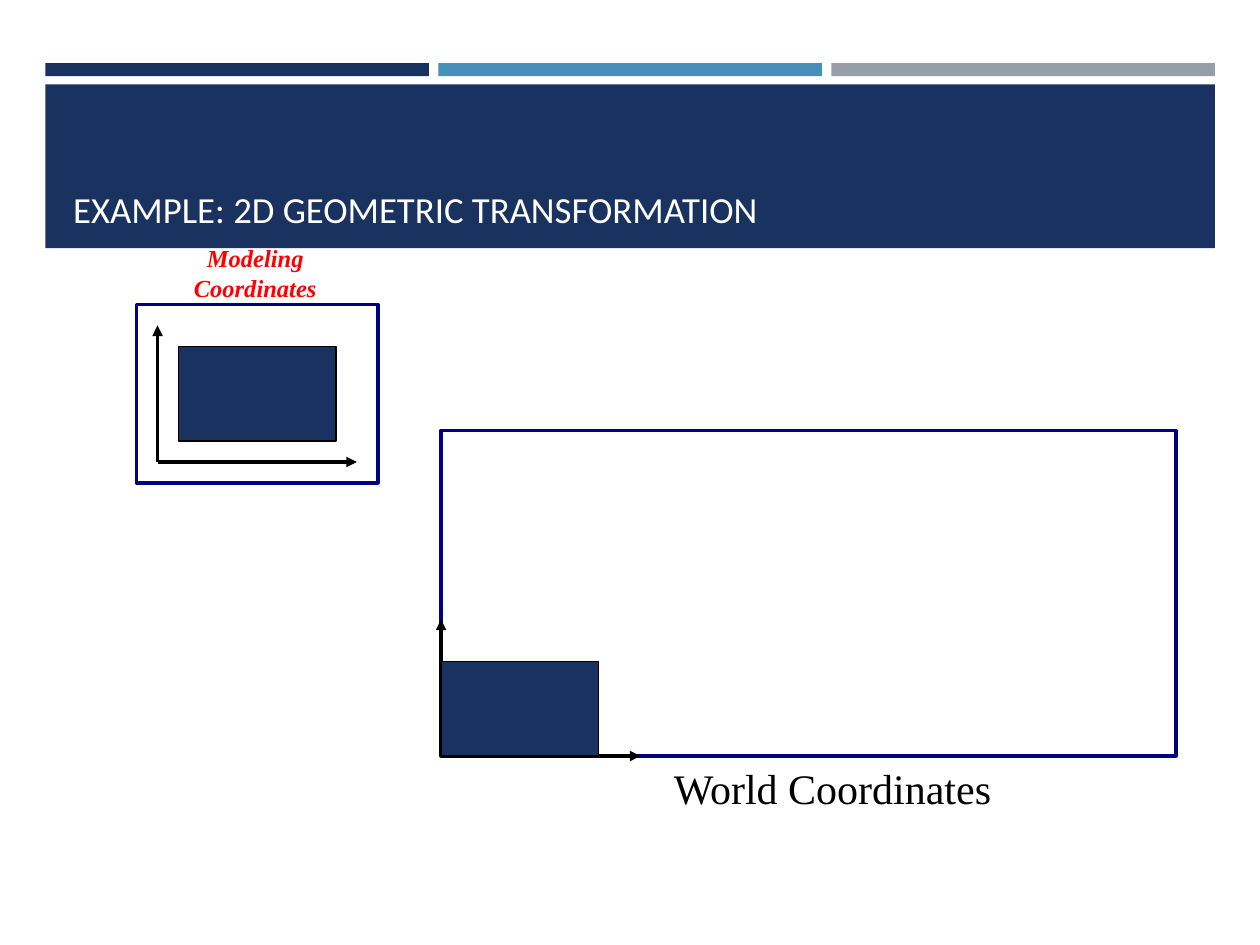
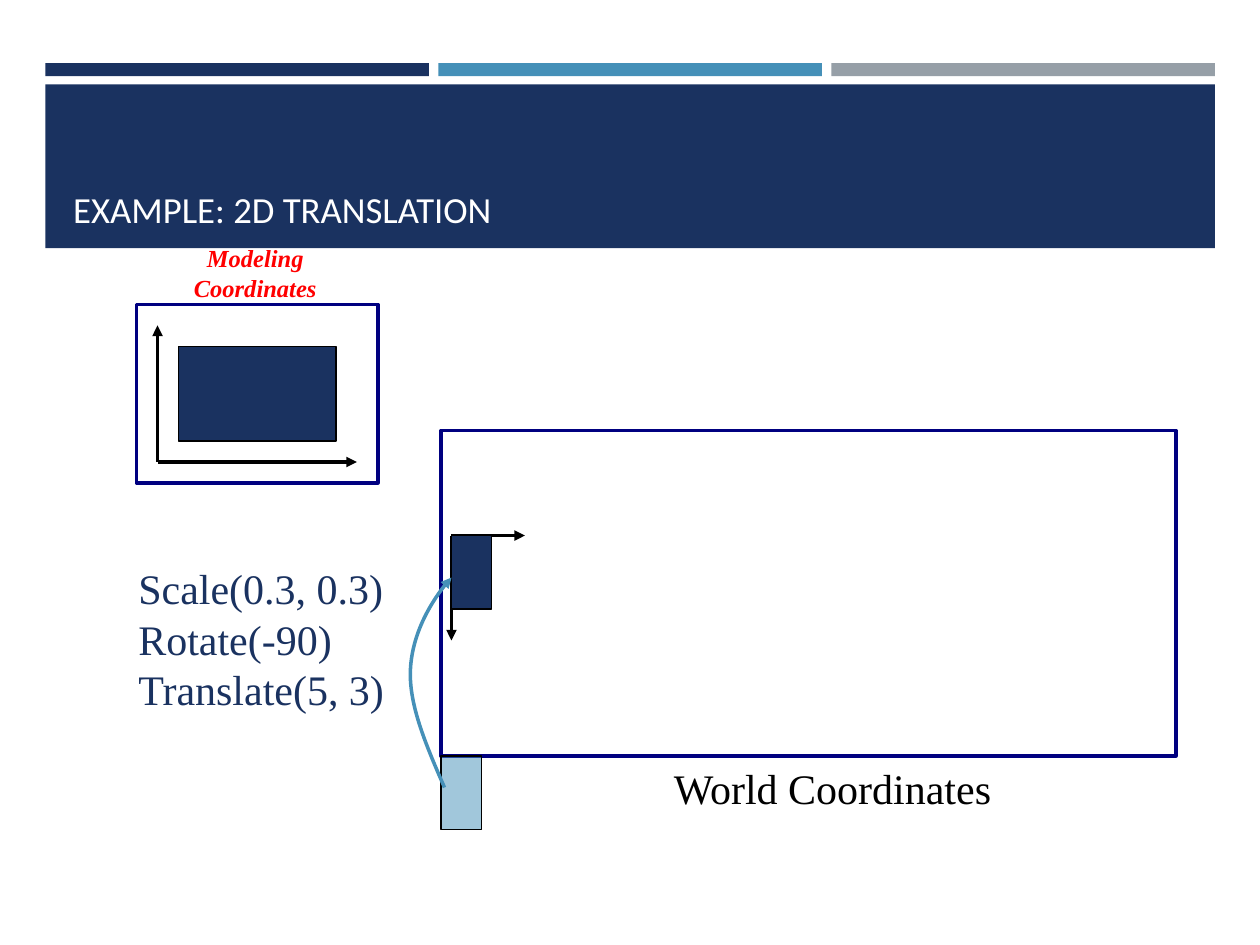
from pptx import Presentation
from pptx.dml.color import RGBColor
from pptx.enum.shapes import MSO_CONNECTOR as Conn, MSO_SHAPE as Shape
from pptx.enum.text import MSO_ANCHOR as Anchor, MSO_AUTO_SIZE as Fit, PP_ALIGN as Align
from pptx.oxml.ns import qn
from pptx.util import Pt
from lxml.etree import SubElement

NAVY = RGBColor(0x1A, 0x32, 0x60)
BLUE = RGBColor(0x45, 0x90, 0xB8)
GRAY = RGBColor(0x96, 0x9F, 0xA7)
FRAME = RGBColor(0x00, 0x00, 0x80)
RED = RGBColor(0xFF, 0x00, 0x00)
BLACK = RGBColor(0x00, 0x00, 0x00)
WHITE = RGBColor(0xFF, 0xFF, 0xFF)
SERIF = "Times New Roman"

# Boxes are left, top, width, height in points
HEAD = (26, 48.2, 668.2, 93.6)
MODEL = (78, 174, 138, 102)
WORLD = (252, 246, 420, 186)


def draw_rect(slide, box, fill=None, line=None, weight=0.75):
    rect = slide.shapes.add_shape(Shape.RECTANGLE, *map(Pt, box))
    rect.shadow.inherit = False
    if fill is None:
        rect.fill.background()
    else:
        rect.fill.solid()
        rect.fill.fore_color.rgb = fill
    if line is None:
        rect.line.fill.background()
    else:
        rect.line.color.rgb = line
        rect.line.width = Pt(weight)
    return rect


def set_stroke(shape, color):
    """Give a line its colour, width and arrowhead."""
    shape.line.color.rgb = color
    shape.line.width = Pt(2)
    ln = shape.element.spPr.find(qn("a:ln"))
    SubElement(ln, qn("a:tailEnd"), type="triangle")


def draw_axes(slide, x, y, right, down):
    """Two arrows from one origin; a negative down points up."""
    for dx, dy in ((right, 0), (0, down)):
        axis = slide.shapes.add_connector(
            Conn.STRAIGHT, Pt(x), Pt(y), Pt(x + dx), Pt(y + dy))
        set_stroke(axis, BLACK)
        SubElement(axis.element.spPr, qn("a:effectLst"))


def draw_turned(slide, x, y, fill):
    """A small block turned a quarter, its corner at x, y."""
    wide, high = 42, 23
    shift = (wide - high) / 2
    block = draw_rect(slide, (x - shift, y + shift, wide, high), fill, BLACK)
    block.rotation = 90
    return block


def draw_curve(slide, start, *points):
    """Join start and each group of three points by Bezier curves."""
    pen = slide.shapes.build_freeform(*map(Pt, start))
    pen.add_line_segments([tuple(map(Pt, p)) for p in points], close=False)
    curve = pen.convert_to_shape()
    curve.shadow.inherit = False
    curve.fill.background()
    set_stroke(curve, BLUE)
    track = curve.element.spPr.find(".//" + qn("a:path"))
    steps = track.findall(qn("a:lnTo"))
    for i in range(0, len(steps), 3):
        bend = SubElement(track, qn("a:cubicBezTo"))
        for step in steps[i:i + 3]:
            bend.append(step[0])
            track.remove(step)


def add_text(slide, box, text, size, color, align=Align.LEFT, strong=False):
    frame = slide.shapes.add_textbox(*map(Pt, box)).text_frame
    frame.text = text
    frame.word_wrap = False
    frame.auto_size = Fit.SHAPE_TO_FIT_TEXT
    for para in frame.paragraphs:
        para.alignment = align
        for run in para.runs:
            font = run.font
            font.name, font.size = SERIF, Pt(size)
            font.bold = font.italic = strong
            font.color.rgb = color


def draw_head(slide, box, text):
    """Three strips, the title band and the title."""
    x, y, w, h = box
    gap = 5.4
    strip = (w - 2 * gap) / 3
    for i, color in enumerate((NAVY, BLUE, GRAY)):
        draw_rect(slide, (x + i * (strip + gap), y - 12.2, strip, 7.5), color)
    draw_rect(slide, box, NAVY)

    title = slide.shapes.title
    title.left, title.top = Pt(x + 8.6), Pt(y + 7.2)
    title.width, title.height = Pt(w - 16.6), Pt(80)
    frame = title.text_frame
    frame.text = text
    frame.auto_size = Fit.NONE
    frame.vertical_anchor = Anchor.BOTTOM
    para = frame.paragraphs[0]
    para.alignment = Align.LEFT
    font = para.runs[0].font
    font.name, font.size = "Calibri", Pt(21)
    font.color.rgb = WHITE
    # Bring the title in front of the band
    slide.shapes.element.append(title.element)


def draw_model(slide, box):
    x, y, w, h = box
    draw_rect(slide, box, line=FRAME, weight=2)
    draw_axes(slide, x + 12, y + h - 12, 114, -78)
    draw_rect(slide, (x + 24, y + 24, 90, 54), NAVY, BLACK)
    add_text(slide, (x + 25, y - 38.6, 85.7, 41), "Modeling\nCoordinates",
             14, RED, Align.CENTER, True)


def draw_world(slide, box):
    x, y, w, h = box
    draw_rect(slide, box, line=FRAME, weight=2)
    add_text(slide, (x + 126, y + h, 197.3, 36), "World Coordinates", 24, BLACK)


def draw_placed(slide, box):
    """The block at the world origin."""
    x, y, w, h = box
    draw_axes(slide, x, y + h, 114, -78)
    draw_rect(slide, (x, y + h - 54, 90, 54), NAVY, BLACK)


def draw_moved(slide, box):
    """The block scaled, rotated and moved away from the origin."""
    x, y, w, h = box
    draw_axes(slide, x + 6, y + 60, 42, 60)
    draw_turned(slide, x + 6, y + 60, NAVY)
    ghost = draw_turned(slide, x, y + h, BLUE)
    tint = ghost.element.spPr.find(qn("a:solidFill"))[0]
    SubElement(tint, qn("a:alpha"), val="50000")
    draw_curve(slide, (x + 2, y + 204),
               (x - 8, y + 181), (x - 18, y + 158), (x - 17.5, y + 138),
               (x - 17, y + 118), (x - 4.5, y + 95), (x + 6, y + 84))
    add_text(slide, (x - 180, y + 72, 155.5, 93.6),
             "Scale(0.3, 0.3)\nRotate(-90)\nTranslate(5, 3)", 24, NAVY)


def add_slide(deck, title, draw_step):
    slide = deck.slides.add_slide(deck.slide_layouts[5])
    draw_head(slide, HEAD, title)
    draw_model(slide, MODEL)
    draw_world(slide, WORLD)
    draw_step(slide, WORLD)


def main():
    deck = Presentation()
    deck.slide_width, deck.slide_height = Pt(720), Pt(540)
    add_slide(deck, "EXAMPLE: 2D GEOMETRIC TRANSFORMATION", draw_placed)
    add_slide(deck, "EXAMPLE: 2D TRANSLATION", draw_moved)
    deck.save("out.pptx")


if __name__ == "__main__":
    main()
